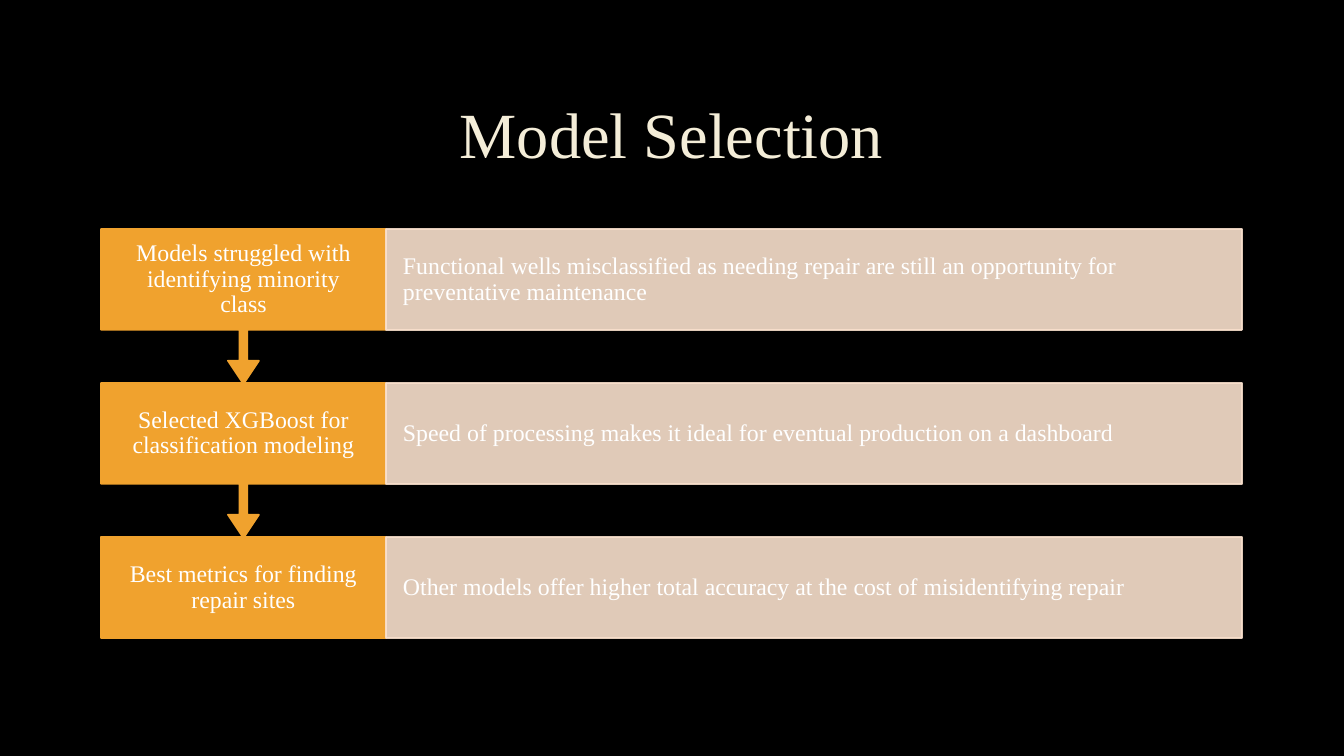
from lxml.etree import SubElement
from pptx import Presentation
from pptx.dml.color import RGBColor
from pptx.enum.shapes import MSO_SHAPE
from pptx.enum.text import MSO_ANCHOR, MSO_AUTO_SIZE, PP_ALIGN
from pptx.oxml.ns import qn
from pptx.util import Emu, Pt

BLACK = RGBColor(0x00, 0x00, 0x00)
WHITE = RGBColor(0xFF, 0xFF, 0xFF)
CREAM = RGBColor(0xF4, 0xED, 0xD8)
ORANGE = RGBColor(0xF0, 0xA2, 0x2E)
PEACH = RGBColor(0xF9, 0xE0, 0xCD)

STEPS = [
    ("Models struggled with identifying minority class",
     "Functional wells misclassified as needing repair are still an opportunity "
     "for preventative maintenance"),
    ("Selected XGBoost for classification modeling",
     "Speed of processing makes it ideal for eventual production on a dashboard"),
    ("Best metrics for finding repair sites",
     "Other models offer higher total accuracy at the cost of misidentifying repair"),
]
LEFT, TOP, PITCH = 101, 229, 154
STEP_WIDTH, DETAIL_WIDTH, ROW_HEIGHT, CALLOUT_HEIGHT = 285, 856, 101, 155


def px(length):
    return Emu(round(length * 914400 / 100.8))


def set_all(target, values):
    for name, value in values.items():
        setattr(target, name, value)


class SlideBuilder:
    font_name = "Times New Roman"
    text_size = Pt(17)

    def __init__(self, page):
        self.page = page
        page.background.fill.solid()
        page.background.fill.fore_color.rgb = BLACK

    def place(self, shape, left, top, width, height):
        set_all(shape, {"left": px(left), "top": px(top),
                        "width": px(width), "height": px(height)})

    def add_text(self, shape, text, size, color, align, insets):
        """Fill a shape with one paragraph; insets are horizontal and vertical px."""
        across, down = map(px, insets)
        frame = shape.text_frame
        set_all(frame, {"word_wrap": True, "auto_size": MSO_AUTO_SIZE.NONE,
                        "vertical_anchor": MSO_ANCHOR.MIDDLE,
                        "margin_left": across, "margin_right": across,
                        "margin_top": down, "margin_bottom": down})
        para = frame.paragraphs[0]
        set_all(para, {"alignment": align, "line_spacing": 0.9})
        span = para.add_run()
        span.text = text
        set_all(span.font, {"name": self.font_name, "size": size})
        span.font.color.rgb = color

    def title(self, text, *area):
        title = self.page.shapes.title
        self.place(title, *area)
        self.add_text(title, text, Pt(46), CREAM, PP_ALIGN.CENTER, (9, 5))

    def panel(self, kind, area, color, opacity=100):
        shape = self.page.shapes.add_shape(kind, *map(px, area))
        shape.shadow.inherit = False
        shape.line.width = Pt(1.25)
        for fill in (shape.fill, shape.line.fill):
            fill.solid()
            fill.fore_color.rgb = color
        if opacity < 100:
            for node in shape.element.spPr.iter(qn("a:srgbClr")):
                SubElement(node, qn("a:alpha"), val=str(opacity * 1000))
        return shape

    def step(self, text, top, has_arrow):
        if has_arrow:
            kind, height = MSO_SHAPE.DOWN_ARROW_CALLOUT, CALLOUT_HEIGHT
        else:
            kind, height = MSO_SHAPE.RECTANGLE, ROW_HEIGHT
        box = self.panel(kind, (LEFT, top, STEP_WIDTH, height), ORANGE)
        if has_arrow:
            for index, value in enumerate((0.05, 0.1, 0.15, 0.65)):
                box.adjustments[index] = value
        self.add_text(box, text, self.text_size, WHITE, PP_ALIGN.CENTER, (20, 13))

    def detail(self, text, top):
        area = (LEFT + STEP_WIDTH, top, DETAIL_WIDTH, ROW_HEIGHT)
        box = self.panel(MSO_SHAPE.RECTANGLE, area, PEACH, opacity=90)
        self.add_text(box, text, self.text_size, WHITE, PP_ALIGN.LEFT, (17, 24))


def main():
    deck = Presentation()
    set_all(deck, {"slide_width": px(1344), "slide_height": px(756)})
    builder = SlideBuilder(deck.slides.add_slide(deck.slide_layouts[5]))
    builder.title("Model Selection", LEFT, 68, STEP_WIDTH + DETAIL_WIDTH, 139)
    last = len(STEPS) - 1
    for row, (step, detail) in reversed(list(enumerate(STEPS))):
        top = TOP + row * PITCH
        builder.step(step, top, has_arrow=row < last)
        builder.detail(detail, top)
    deck.save("out.pptx")


if __name__ == "__main__":
    main()
